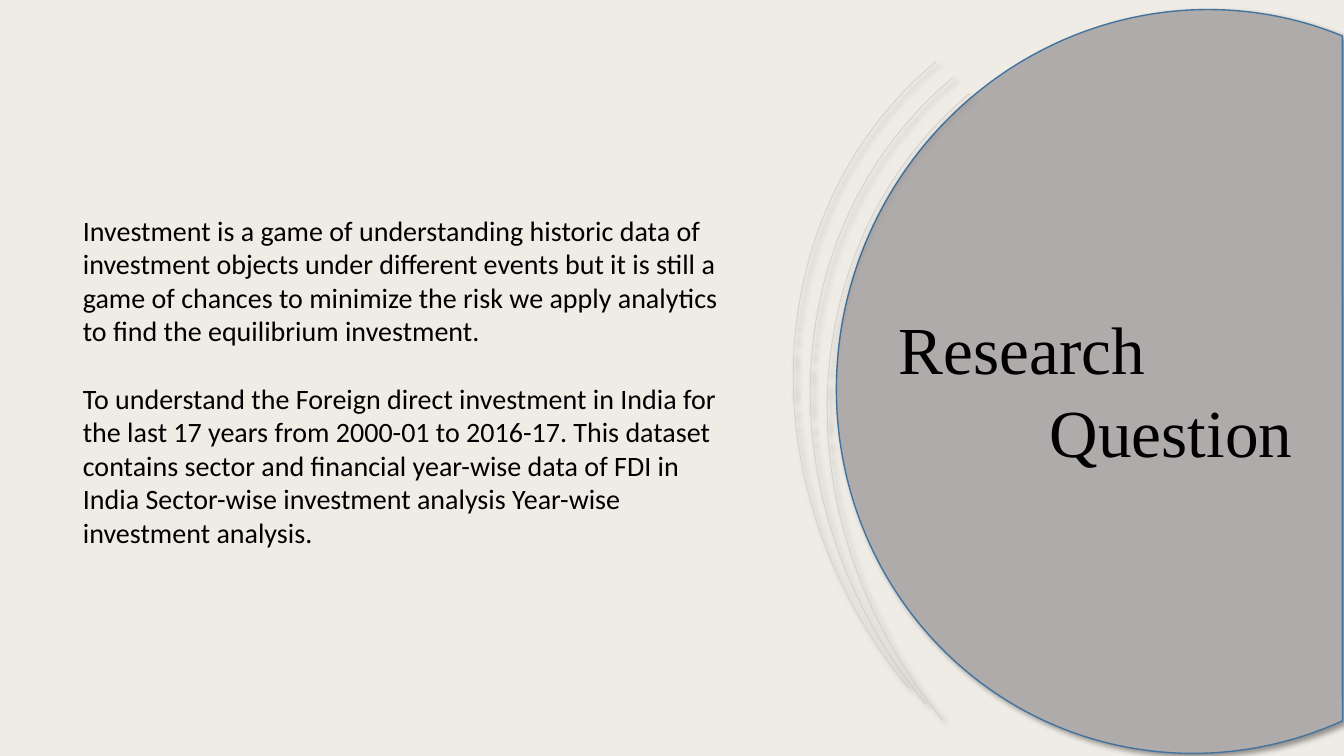
from lxml.etree import SubElement
from pptx import Presentation
from pptx.dml.color import RGBColor as RGB
from pptx.enum.shapes import MSO_SHAPE as SHAPE
from pptx.oxml.ns import qn
from pptx.util import Pt

PX = 914400 / 100.8
COLORS = {"background": "EFEBE5", "disc": "AFABAB", "outline": "43739E",
          "arc": "D0CECE", "text": "000000", "shadow": "000000"}


def px(n):
    return round(n * PX)


def add_text(slide, box, paragraphs, font, size, gap=0, indent=0, spacing=1.0, inset=5):
    tf = slide.shapes.add_textbox(*map(px, box)).text_frame
    tf.word_wrap = True
    tf.margin_top = px(inset)
    for i, text in enumerate(paragraphs):
        p = tf.paragraphs[0] if i == 0 else tf.add_paragraph()
        p.line_spacing = spacing
        if i:
            p.space_before = Pt(gap)
            p._p.get_or_add_pPr().set("marL", str(px(indent)))
        r = p.add_run()
        r.text = text
        r.font.name = font
        r.font.size = Pt(size)
        r.font.color.rgb = RGB.from_string(COLORS["text"])


prs = Presentation()
prs.slide_width, prs.slide_height = px(1344), px(756)
s = prs.slides.add_slide(prs.slide_layouts[6])
s.background.fill.solid()
s.background.fill.fore_color.rgb = RGB.from_string(COLORS["background"])

curves = [(SHAPE.CHORD, (838, 8, 725, 747), 22.3, "disc", "outline", 1)]
for i in range(3):
    box = (768 + 17 * i, -2 + 16 * i, 929, 842)
    curves.append((SHAPE.ARC, box, 230.3, None, "arc", 0.5))

for kind, box, rotation, fill, line, width in curves:
    sp = s.shapes.add_shape(kind, *map(px, box))
    sp.rotation = rotation
    if fill:
        sp.fill.solid()
        sp.fill.fore_color.rgb = RGB.from_string(COLORS[fill])
    else:
        sp.fill.background()
    sp.line.color.rgb = RGB.from_string(COLORS[line])
    sp.line.width = Pt(width)
    sp.shadow.inherit = False
    effects = sp._element.spPr.find(qn("a:effectLst"))
    shadow = SubElement(effects, qn("a:outerShdw"), blurRad=str(Pt(4)), dist=str(Pt(3)),
                        dir="2700000", algn="tl", rotWithShape="0")
    color = SubElement(shadow, qn("a:srgbClr"), val=COLORS["shadow"])
    SubElement(color, qn("a:alpha"), val="40000")

add_text(s, (889, 295, 622, 173), ["Research", "Question"], "Times New Roman", 48,
         indent=151, spacing=1.03, inset=10)
add_text(s, (73, 208, 669, 383), [
    "Investment is a game of understanding historic data of investment objects under "
    "different events but it is still a game of chances to minimize the risk we apply "
    "analytics to find the equilibrium investment.",
    "To understand the Foreign direct investment in India for the last 17 years from "
    "2000-01 to 2016-17. This dataset contains sector and financial year-wise data of "
    "FDI in India Sector-wise investment analysis Year-wise investment analysis.",
], "Calibri", 20, gap=24)

prs.save("out.pptx")
